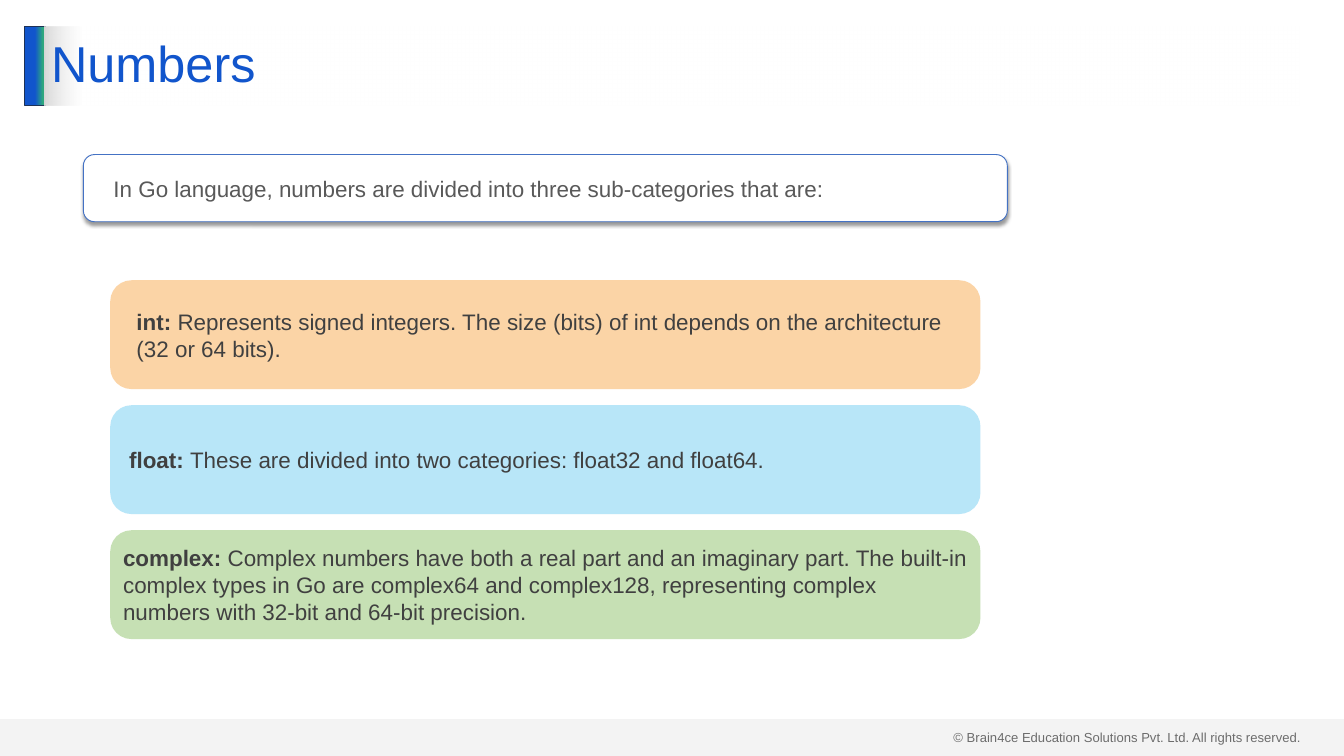
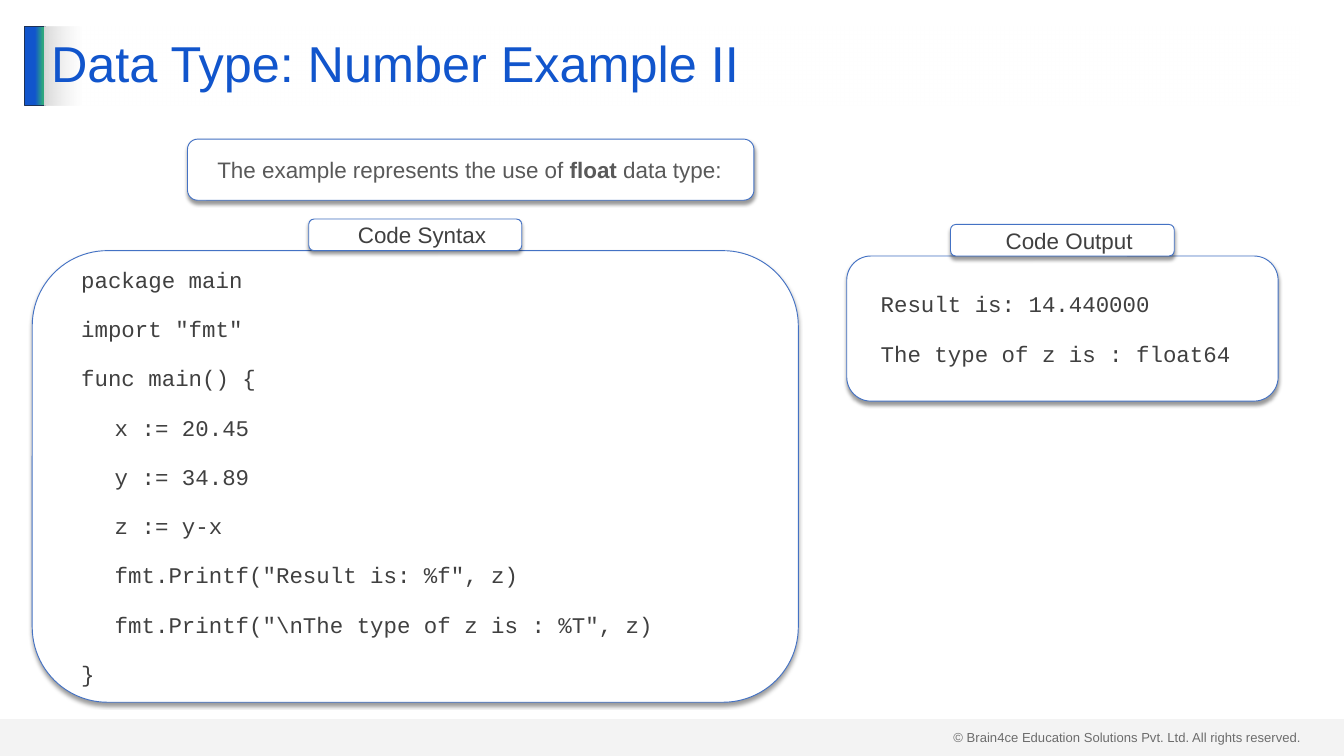
from lxml.etree import SubElement
from pptx import Presentation
from pptx.dml.color import RGBColor
from pptx.enum.shapes import MSO_SHAPE
from pptx.enum.text import MSO_ANCHOR, MSO_AUTO_SIZE, PP_ALIGN
from pptx.oxml.ns import qn
from pptx.util import Inches, Pt

# Content: ** marks the start and end of bold text
NUMBERS = {
    "title": "Numbers",
    "lead": "In Go language, numbers are divided into three sub-categories that are:",
    "cards": [  # text, fill, indent
        ("**int: **Represents signed integers. The size (bits) of int depends on "
         "the architecture (32 or 64 bits).", "orange", 0.2),
        ("**float: **These are divided into two categories: float32 and float64.",
         "sky", 0.09),
        ("**complex:** Complex numbers have both a real part and an imaginary part. "
         "The built-in complex types in Go are complex64 and complex128, representing "
         "complex numbers with 32-bit and 64-bit precision.", "green", 0),
    ],
}
EXAMPLE = {
    "title": "Data Type: Number Example II",
    "lead": "The example represents the use of **float** data type:",
    "panels": [  # label, panel place, label size, lines (a tab indents)
        ("Code Syntax", (0.48, 3.73, 11.4, 6.72), (3.17, 0.47), [
            "package main",
            'import "fmt"',
            "func main() {",
            "\tx := 20.45",
            "\ty := 34.89",
            "\tz := y-x",
            '\tfmt.Printf("Result is: %f", z)',
            '\tfmt.Printf("\\nThe type of z is : %T", z)',
            "}",
        ]),
        ("Code Output", (12.6, 3.81, 6.42, 2.16), (3.33, 0.47), [
            "Result is: 14.440000",
            "The type of z is : float64",
        ]),
    ],
}
RIGHTS = "© Brain4ce Education Solutions Pvt. Ltd. All rights reserved."

# Look
COLORS = {
    "white": "FFFFFF", "blue": "1155CC", "teal": "2EA87D", "navy": "1E3256",
    "edge": "4472C4", "gray": "D9D9D9", "ink": "404040", "soft": "595959",
    "orange": "FABE79", "sky": "94DAF5", "green": "A9D18E", "black": "000000",
}
WIDE, HIGH = 20, 11.25
TOP, TALL = 0.39, 1.18  # title row
BAND = 0.55
CARD = (1.64, 4.17, 12.95, 1.62)
STEP = 1.86  # from one card to the next


def rgb(name):
    return RGBColor.from_string(COLORS[name])


def fade(node, share):
    SubElement(node, qn("a:alpha"), val=str(share * 1000))


def blend(shape, stops):
    """Fill from left to right with (position, colour, opacity) stops."""
    shape.fill.gradient()
    shape.fill.gradient_angle = 0
    group = next(shape.element.iter(qn("a:gsLst")))
    for old in list(group):
        group.remove(old)
    for pos, name, share in stops:
        stop = SubElement(group, qn("a:gs"), pos=str(pos * 1000))
        tint = SubElement(stop, qn("a:srgbClr"), val=COLORS[name])
        if share < 100:
            fade(tint, share)


def write(shape, lines, size=24, font="Arial", color="ink", align=PP_ALIGN.LEFT,
          indent=0, gap=0, inset=(0.1, 0.05), space=None, wrap=True):
    frame = shape.text_frame
    frame.word_wrap = wrap
    frame.vertical_anchor = MSO_ANCHOR.MIDDLE
    frame.margin_left = frame.margin_right = Inches(inset[0])
    frame.margin_top = frame.margin_bottom = Inches(inset[1])
    for i, line in enumerate(lines):
        para = frame.add_paragraph() if i else frame.paragraphs[0]
        para.alignment = align
        para.line_spacing = space
        para.space_before = Pt(gap if i else 0)
        para.space_after = Pt(gap)
        left = indent + 0.5 * line.startswith("\t")
        props = para._p.get_or_add_pPr()
        props.set("marL", str(Inches(left)))
        props.set("indent", "0")
        for n, part in enumerate(line.strip("\t").split("**")):
            if part:
                run = para.add_run()
                run.text = part
                run.font.size, run.font.name = Pt(size), font
                run.font.bold = n % 2 == 1
                run.font.color.rgb = rgb(color)


def block(slide, place, fill=None, share=100, line=None, kind=MSO_SHAPE.ROUNDED_RECTANGLE):
    shape = slide.shapes.add_shape(kind, *map(Inches, place))
    shape.shadow.inherit = False
    if fill:
        shape.fill.solid()
        shape.fill.fore_color.rgb = rgb(fill)
        if share < 100:
            fade(next(shape.element.iter(qn("a:srgbClr"))), share)
    if line:
        shape.line.color.rgb = rgb(line)
        shape.line.width = Pt(1)
    else:
        shape.line.fill.background()
    return shape


def panel(slide, place, lines, **form):
    """White outlined box with a soft shadow below it."""
    shape = block(slide, place, "white", line="edge")
    effect = next(shape.element.iter(qn("a:effectLst")))
    cast = SubElement(effect, qn("a:outerShdw"), blurRad=str(Pt(4)), dist=str(Pt(3)),
                      dir="5400000", algn="t", rotWithShape="0")
    fade(SubElement(cast, qn("a:srgbClr"), val=COLORS["black"]), 40)
    write(shape, lines, indent=0.2, gap=12, inset=(0.2, 0.1), **form)


def start(deck, layout, title):
    slide = deck.slides.add_slide(layout)
    head = slide.shapes.title
    head.left, head.top, head.width, head.height = map(Inches, (0.66, TOP, 18.67, TALL))
    blend(head, [(0, "gray", 100), (3, "white", 50)])
    write(head, [title], size=54, color="blue", space=0.9)
    head.text_frame.auto_size = MSO_AUTO_SIZE.NONE
    return slide


def furnish(slide, layout):
    """Put the rights line, title bar and footer band on the layout."""
    for spare in list(layout.placeholders):
        if spare.placeholder_format.idx:
            layout.shapes.element.remove(spare.element)
    rights = slide.shapes.add_textbox(*map(Inches, (14.09, 10.8, 5.41, 0.34)))
    write(rights, [RIGHTS], size=14, wrap=False)
    bar = block(slide, (0.37, TOP, 0.3, TALL), line="navy", kind=MSO_SHAPE.RECTANGLE)
    blend(bar, [(51, "blue", 100), (90, "teal", 100), (100, "teal", 100)])
    band = block(slide, (0, HIGH - BAND, WIDE, BAND), "gray", 29, kind=MSO_SHAPE.RECTANGLE)
    for part in (rights, bar, band):
        layout.shapes.element.append(part.element)


def main():
    deck = Presentation()
    deck.slide_width, deck.slide_height = Inches(WIDE), Inches(HIGH)
    layout = deck.slide_layouts[5]

    # Numbers: lead and a column of cards
    slide = start(deck, layout, NUMBERS["title"])
    furnish(slide, layout)
    panel(slide, (1.24, 2.3, 13.75, 1), [NUMBERS["lead"]], color="soft")
    x, y, w, h = CARD
    for i, (text, fill, indent) in enumerate(NUMBERS["cards"]):
        card = block(slide, (x, y + i * STEP, w, h), fill, 66)
        card.adjustments[0] = 0.195
        write(card, [text], indent=indent)

    # Example: code and output, each with its label centred on top
    slide = start(deck, layout, EXAMPLE["title"])
    for label, place, (wide, tall), lines in EXAMPLE["panels"]:
        x, y, w, h = place
        panel(slide, place, lines, font="Courier New")
        panel(slide, (x + (w - wide) / 2, y - tall, wide, tall), [label],
              align=PP_ALIGN.CENTER)
    panel(slide, (2.79, 2.07, 8.43, 0.91), [EXAMPLE["lead"]], color="soft")

    deck.save("out.pptx")


if __name__ == "__main__":
    main()
